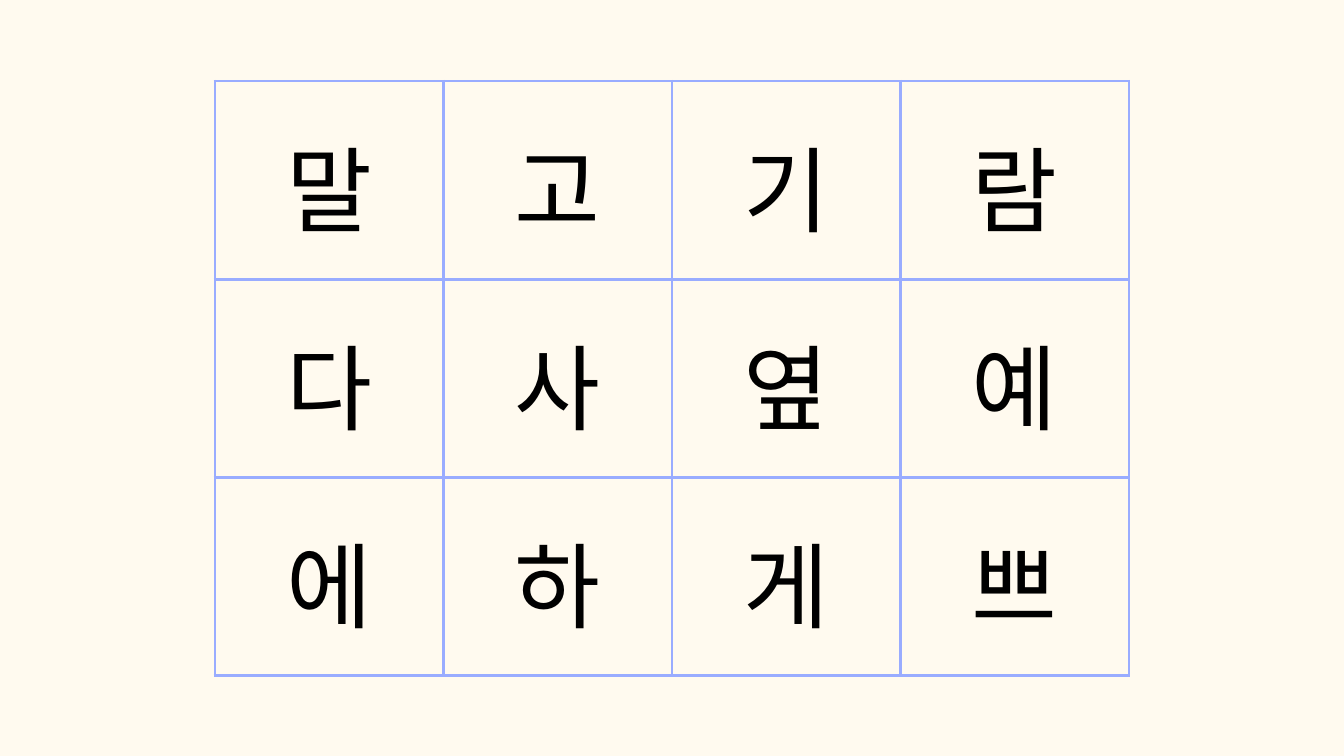
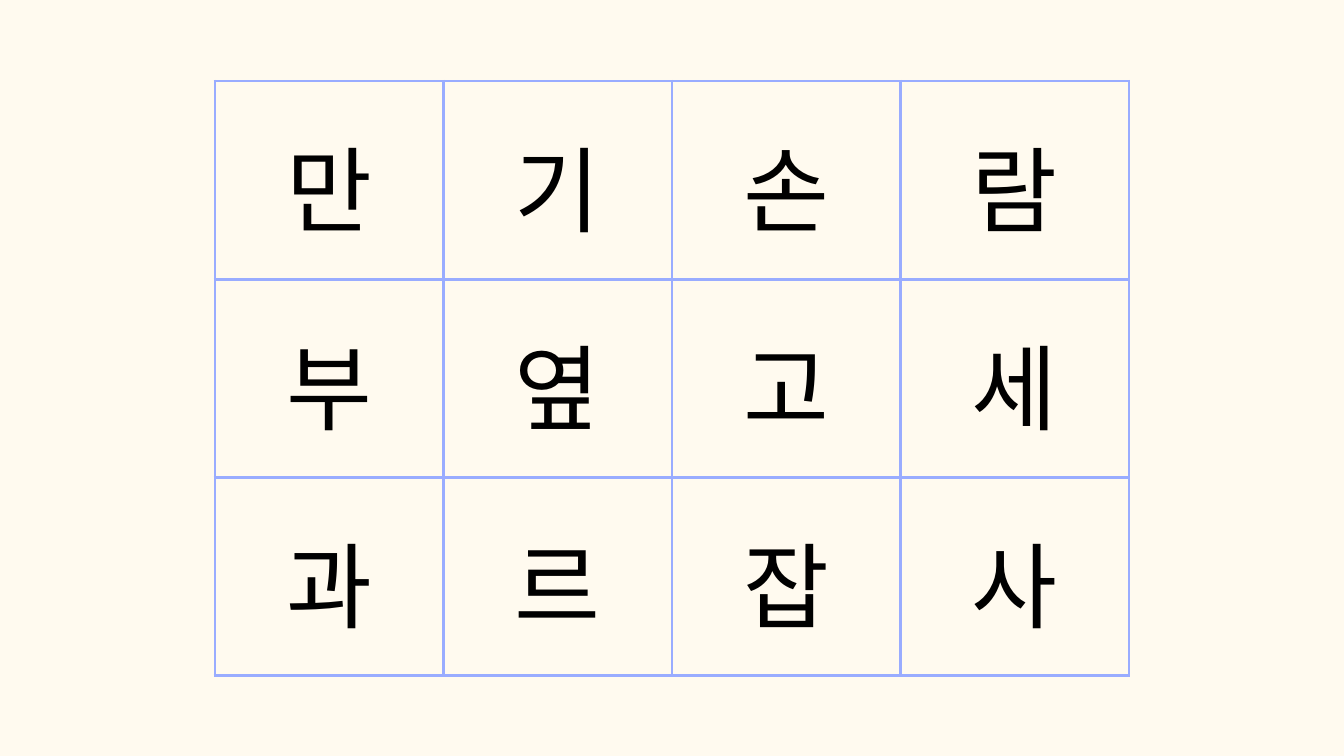
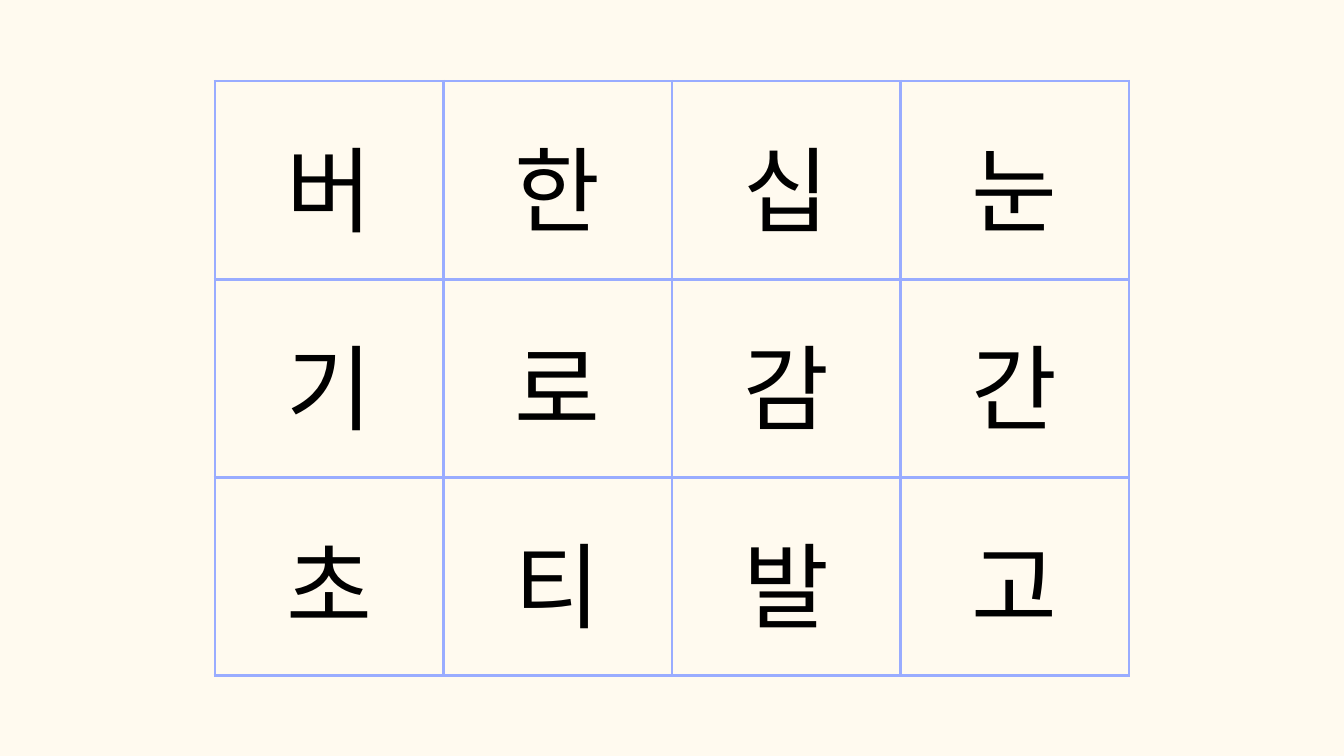
from lxml.etree import SubElement
from pptx import Presentation
from pptx.dml.color import RGBColor
from pptx.enum.text import MSO_ANCHOR, PP_ALIGN
from pptx.oxml.ns import qn
from pptx.util import Emu, Pt

EMU_PER_PX = 9525
SLIDE_WIDTH, SLIDE_HEIGHT = 1920, 1080
GRID_BOX = (307, 116, 1306, 849)
CELL_MARGIN = 20

CREAM = "FFFAEF"
PERIWINKLE = "99ACFF"
BLACK = "000000"
FONT = "Arial"

# One string per row, one syllable per cell
SYLLABLE_GRIDS = [
    ["말고기람", "다사옆예", "에하게쁘"],
    ["만기손람", "부옆고세", "과르잡사"],
    ["버한십눈", "기로감간", "초티발고"],
]


def px(length):
    return Emu(round(length * EMU_PER_PX))


def color(hex_string):
    return RGBColor.from_string(hex_string)


def add_borders(cell):
    properties = cell._tc.get_or_add_tcPr()
    for side in ("lnL", "lnR", "lnT", "lnB"):
        border = SubElement(properties, qn(f"a:{side}"), w=str(Pt(3)))
        border_fill = SubElement(border, qn("a:solidFill"))
        SubElement(border_fill, qn("a:srgbClr"), val=PERIWINKLE)


def fill_cell(cell, syllable):
    # Outline and margins
    add_borders(cell)
    cell.fill.background()
    cell.margin_left = cell.margin_right = px(CELL_MARGIN)
    cell.margin_top = cell.margin_bottom = px(CELL_MARGIN)
    cell.vertical_anchor = MSO_ANCHOR.MIDDLE

    # Syllable
    cell.text = syllable
    paragraph = cell.text_frame.paragraphs[0]
    paragraph.alignment = PP_ALIGN.CENTER
    paragraph.line_spacing = Pt(140)
    paragraph.font.size = Pt(100)
    paragraph.font.name = FONT
    paragraph.font.color.rgb = color(BLACK)
    # Hangul takes the East Asian typeface
    SubElement(paragraph._p.pPr.find(qn("a:defRPr")), qn("a:ea"), typeface=FONT)


def add_syllable_grid(slide, box, syllable_rows):
    left, top, width, height = box
    row_count, column_count = len(syllable_rows), len(syllable_rows[0])
    grid = slide.shapes.add_table(
        row_count, column_count, px(left), px(top), px(width), px(height)
    ).table
    grid.first_row = False
    grid.horz_banding = False
    for row_index, syllables in enumerate(syllable_rows):
        for column_index, syllable in enumerate(syllables):
            fill_cell(grid.cell(row_index, column_index), syllable)


def main():
    prs = Presentation()
    prs.slide_width, prs.slide_height = px(SLIDE_WIDTH), px(SLIDE_HEIGHT)

    # Shared background
    backdrop = prs.slide_master.background.fill
    backdrop.solid()
    backdrop.fore_color.rgb = color(CREAM)

    blank_layout = prs.slide_layouts[6]
    for syllable_rows in SYLLABLE_GRIDS:
        add_syllable_grid(prs.slides.add_slide(blank_layout), GRID_BOX, syllable_rows)

    prs.save("out.pptx")


if __name__ == "__main__":
    main()
